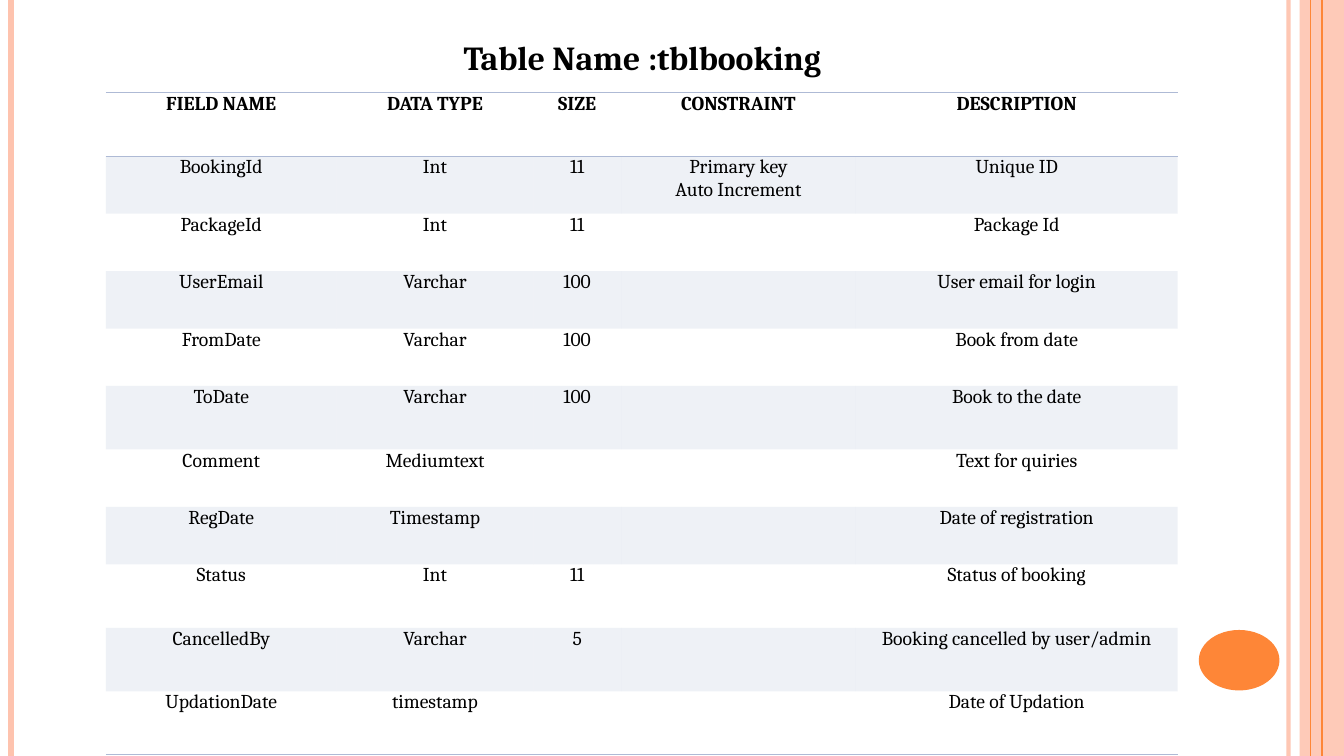
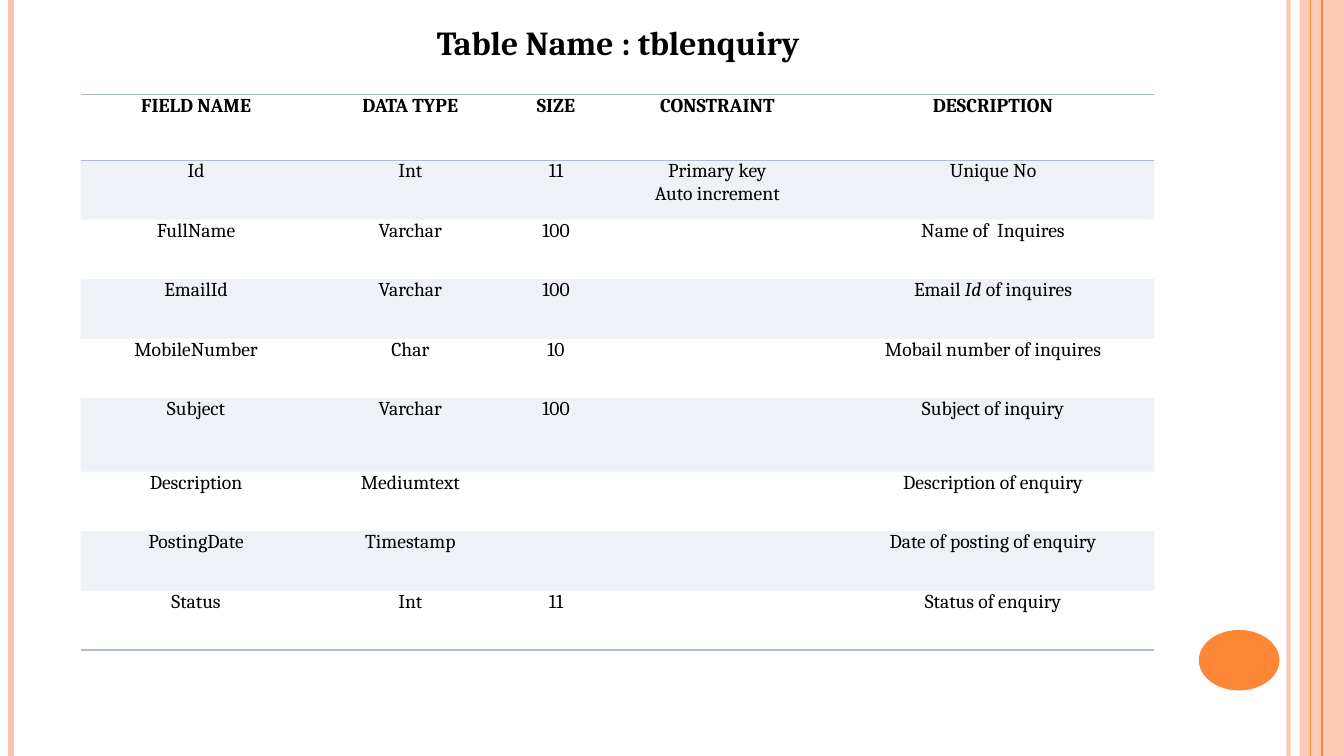
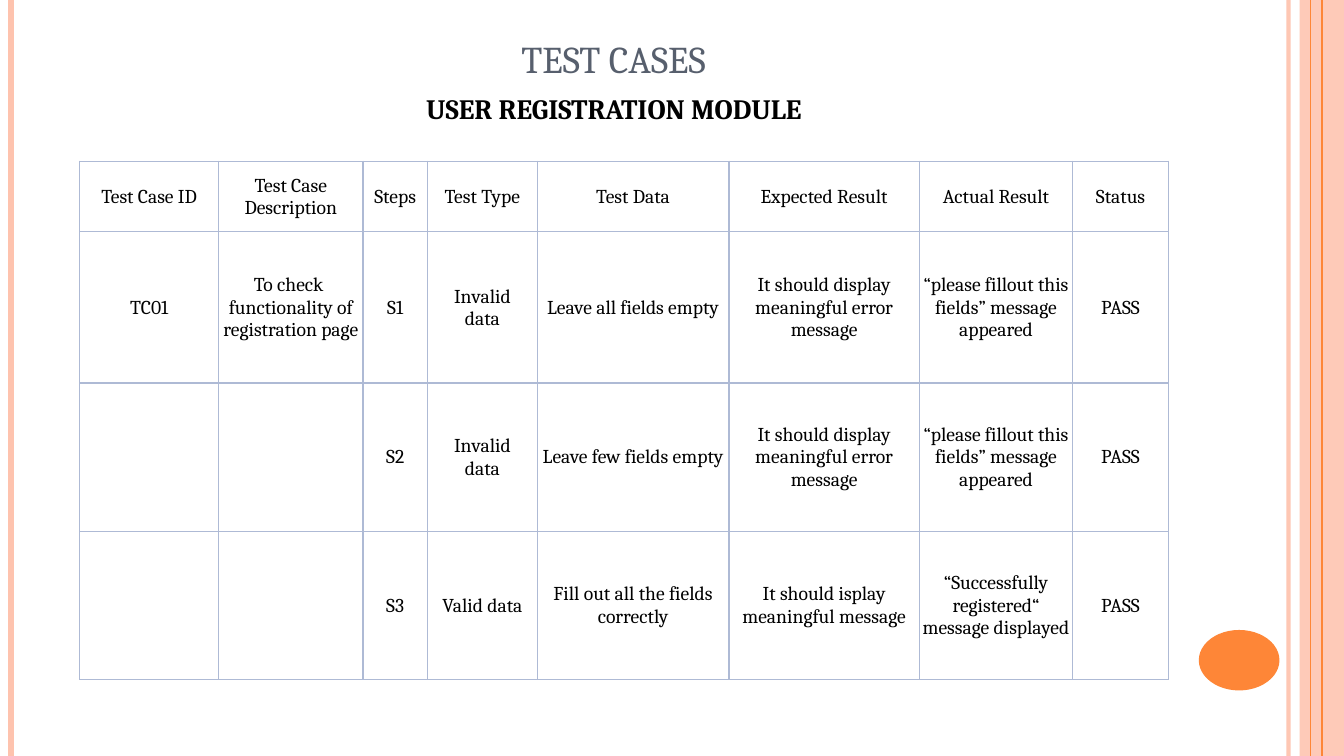
from dataclasses import dataclass

from lxml.etree import SubElement
from pptx import Presentation
from pptx.dml.color import RGBColor
from pptx.enum.shapes import MSO_CONNECTOR as Link, MSO_SHAPE as Shape
from pptx.enum.text import MSO_ANCHOR as Anchor, MSO_AUTO_SIZE as Fit, PP_ALIGN as Align
from pptx.oxml.ns import qn
from pptx.util import Inches, Pt

FONT = "Cambria"
BLACK = RGBColor(0x00, 0x00, 0x00)
SLATE = RGBColor(0x57, 0x5F, 0x6D)
PEACH = RGBColor(0xFE, 0xC3, 0xAE)
ORANGE = RGBColor(0xFE, 0x86, 0x37)
BLUE = RGBColor(0xAE, 0xBA, 0xD5)
WIDE, HIGH = 13.33, 7.5
NO_GRID = "{2D5ABB26-0587-4C30-8999-92F81FD0307C}"

Box = tuple[float, float, float, float]
Row = tuple[str, ...]


@dataclass
class Rule:
    x: float
    color: RGBColor
    width: float
    alpha: int = 100


@dataclass
class Head:
    text: str
    box: Box
    size: float = 24
    color: RGBColor = BLACK
    bold: bool = True


@dataclass
class Grid:
    left: float
    top: float
    cols: tuple[float, ...]
    heights: list[float]
    rows: list[Row]
    boxed: bool = False


RULES = [
    Rule(12.78, PEACH, 3, 93),
    Rule(0.11, PEACH, 4.5),
    Rule(13.11, ORANGE, 1.5),
    Rule(13, ORANGE, 0.75),
]
FIELDS = ("FIELD NAME", "DATA TYPE", "SIZE", "CONSTRAINT", "DESCRIPTION")

BOOKING = Grid(
    1.05, 0.92, (2.29, 1.95, 0.87, 2.33, 3.19),
    [0.63] + [0.57] * 4 + [0.63] + [0.57] * 2 + [0.63] * 3,
    [
        FIELDS,
        ("BookingId", "Int", "11", "Primary key\nAuto Increment", "Unique ID"),
        ("PackageId", "Int", "11", "", "Package Id"),
        ("UserEmail", "Varchar", "100", "", "User email for login"),
        ("FromDate", "Varchar", "100", "", "Book from date"),
        ("ToDate", "Varchar", "100", "", "Book to the date"),
        ("Comment", "Mediumtext", "", "", "Text for quiries"),
        ("RegDate", "Timestamp", "", "", "Date of registration"),
        ("Status", "Int", "11", "", "Status of booking"),
        ("CancelledBy", "Varchar", "5", "", "Booking cancelled by user/admin"),
        ("UpdationDate", "timestamp", "", "", "Date of Updation"),
    ],
)
ENQUIRY = Grid(
    0.8, 0.94, (2.29, 1.96, 0.93, 2.27, 3.2),
    [0.65] + [0.59] * 4 + [0.73] + [0.59] * 3,
    [
        FIELDS,
        ("Id", "Int", "11", "Primary key\nAuto increment", "Unique No"),
        ("FullName", "Varchar", "100", "", "Name of  Inquires"),
        ("EmailId", "Varchar", "100", "", "Email *Id *of inquires"),
        ("MobileNumber", "Char", "10", "", "Mobail number of inquires"),
        ("Subject", "Varchar", "100", "", "Subject of inquiry"),
        ("Description", "Mediumtext", "", "", "Description of enquiry"),
        ("PostingDate", "Timestamp", "", "", "Date of posting of enquiry"),
        ("Status", "Int", "11", "", "Status of enquiry"),
    ],
)
# Row 5 carries the extra height in the field table above it in both grids.
ERROR = "It should display meaningful error message"
PROMPT = "“please fillout this fields” message appeared"
CASES = Grid(
    0.79, 1.6, (1.38, 1.43, 0.64, 1.09, 1.9, 1.89, 1.52, 0.95),
    [0.7, 1.5, 1.47, 1.47],
    [
        ("Test Case ID", "Test Case Description", "Steps", "Test Type",
         "Test Data", "Expected Result", "Actual Result", "Status"),
        ("TC01", "To check  functionality of registration page", "S1",
         "Invalid\ndata", "Leave all fields empty", ERROR, PROMPT, "PASS"),
        ("", "", "S2", "Invalid\ndata", "Leave few fields empty", ERROR, PROMPT, "PASS"),
        ("", "", "S3", "Valid data", "Fill out all the fields correctly",
         "It should isplay meaningful message",
         "“Successfully registered“ message displayed", "PASS"),
    ],
    boxed=True,
)


def fade(fill, alpha: int) -> None:
    """Set the opacity, in percent, of a solidFill element."""
    SubElement(fill[0], qn("a:alpha"), val=str(alpha * 1000))


def write(frame, text: str, size: float, color: RGBColor = BLACK, bold: bool = False) -> None:
    """Set centred text; parts between asterisks are italic."""
    frame.text = text
    for para in frame.paragraphs:
        para.alignment = Align.CENTER
        parts = para.text.split("*")
        para.text = parts[0]
        for part in parts[1:]:
            para.add_run().text = part
        for i, run in enumerate(para.runs):
            font = run.font
            font.name, font.size, font.bold = FONT, Pt(size), bold
            font.italic = i % 2 == 1
            font.color.rgb = color


def add_solid(slide, kind: Shape, box: Box, color: RGBColor):
    shape = slide.shapes.add_shape(kind, *map(Inches, box))
    shape.shadow.inherit = False
    shape.fill.solid()
    shape.fill.fore_color.rgb = color
    shape.line.fill.background()
    return shape


def add_frame(slide) -> None:
    """Draw the side bands and the badge that all slides share."""
    band = add_solid(slide, Shape.RECTANGLE, (12.89, 0, 0.44, HIGH), PEACH)
    fade(band._element.spPr.find(qn("a:solidFill")), 87)
    for rule in RULES:
        x = Inches(rule.x)
        line = slide.shapes.add_connector(Link.STRAIGHT, x, 0, x, Inches(HIGH))
        line.line.color.rgb = rule.color
        line.line.width = Pt(rule.width)
        props = line._element.spPr
        SubElement(props, qn("a:effectLst"))
        if rule.alpha < 100:
            fade(props.find(qn("a:ln")).find(qn("a:solidFill")), rule.alpha)
    add_solid(slide, Shape.OVAL, (11.89, 6.25, 0.8, 0.6), ORANGE)


def add_head(shape, head: Head, anchor: Anchor) -> None:
    shape.left, shape.top, shape.width, shape.height = map(Inches, head.box)
    frame = shape.text_frame
    frame.word_wrap = True
    frame.auto_size = Fit.NONE
    frame.vertical_anchor = anchor
    write(frame, head.text, head.size, head.color, head.bold)


def add_edges(cell, sides: str) -> None:
    """Draw 1 pt borders on the given sides, listed in the order L, R, T, B."""
    for side in sides:
        edge = SubElement(cell._tc.get_or_add_tcPr(), qn(f"a:ln{side}"), w=str(Pt(1)))
        fill = SubElement(edge, qn("a:solidFill"))
        SubElement(fill, qn("a:srgbClr"), val=str(BLUE))


def add_grid(slide, grid: Grid) -> None:
    last = len(grid.rows) - 1
    table = slide.shapes.add_table(
        len(grid.rows), len(grid.cols), Inches(grid.left), Inches(grid.top),
        Inches(sum(grid.cols)), Inches(sum(grid.heights))).table
    table.first_row = table.horz_banding = False
    table._tbl.tblPr.find(qn("a:tableStyleId")).text = NO_GRID
    for col, width in zip(table.columns, grid.cols):
        col.width = Inches(width)
    for r, (row, height) in enumerate(zip(grid.rows, grid.heights)):
        table.rows[r].height = Inches(height)
        for c, text in enumerate(row):
            cell = table.cell(r, c)
            cell.margin_left = cell.margin_right = Inches(0.01 if grid.boxed else 0.07)
            cell.margin_top = Inches(0.01 if grid.boxed else 0)
            cell.margin_bottom = 0
            cell.vertical_anchor = Anchor.MIDDLE if grid.boxed else Anchor.TOP
            if grid.boxed:
                add_edges(cell, "LRTB")
            elif r in (0, last):
                add_edges(cell, "B" if r else "TB")
            if r % 2 and not grid.boxed:
                cell.fill.solid()
                cell.fill.fore_color.rgb = BLUE
                fade(cell._tc.tcPr.find(qn("a:solidFill")), 20)
            else:
                cell.fill.background()
            write(cell.text_frame, text, 14, bold=r == 0 and not grid.boxed)


def add_page(deck, head: Head, grid: Grid, anchor: Anchor = Anchor.TOP):
    slide = deck.slides.add_slide(deck.slide_layouts[5])
    add_frame(slide)
    add_head(slide.shapes.title, head, anchor)
    add_grid(slide, grid)
    return slide


def main() -> None:
    deck = Presentation()
    deck.slide_width, deck.slide_height = Inches(WIDE), Inches(HIGH)
    add_page(deck, Head("Table Name :tblbooking", (3.79, 0.32, 5.16, 0.5)), BOOKING)
    add_page(deck, Head("Table Name : tblenquiry", (3.67, 0.17, 4.92, 0.5)), ENQUIRY)
    title = Head("TEST CASES", (0.64, 0.27, 10.89, 0.58), 27, SLATE, False)
    slide = add_page(deck, title, CASES, Anchor.BOTTOM)
    module = Head("USER REGISTRATION MODULE", (3.21, 0.86, 5.76, 0.44), 20)
    add_head(slide.shapes.add_textbox(0, 0, 0, 0), module, Anchor.TOP)
    deck.save("out.pptx")


if __name__ == "__main__":
    main()
